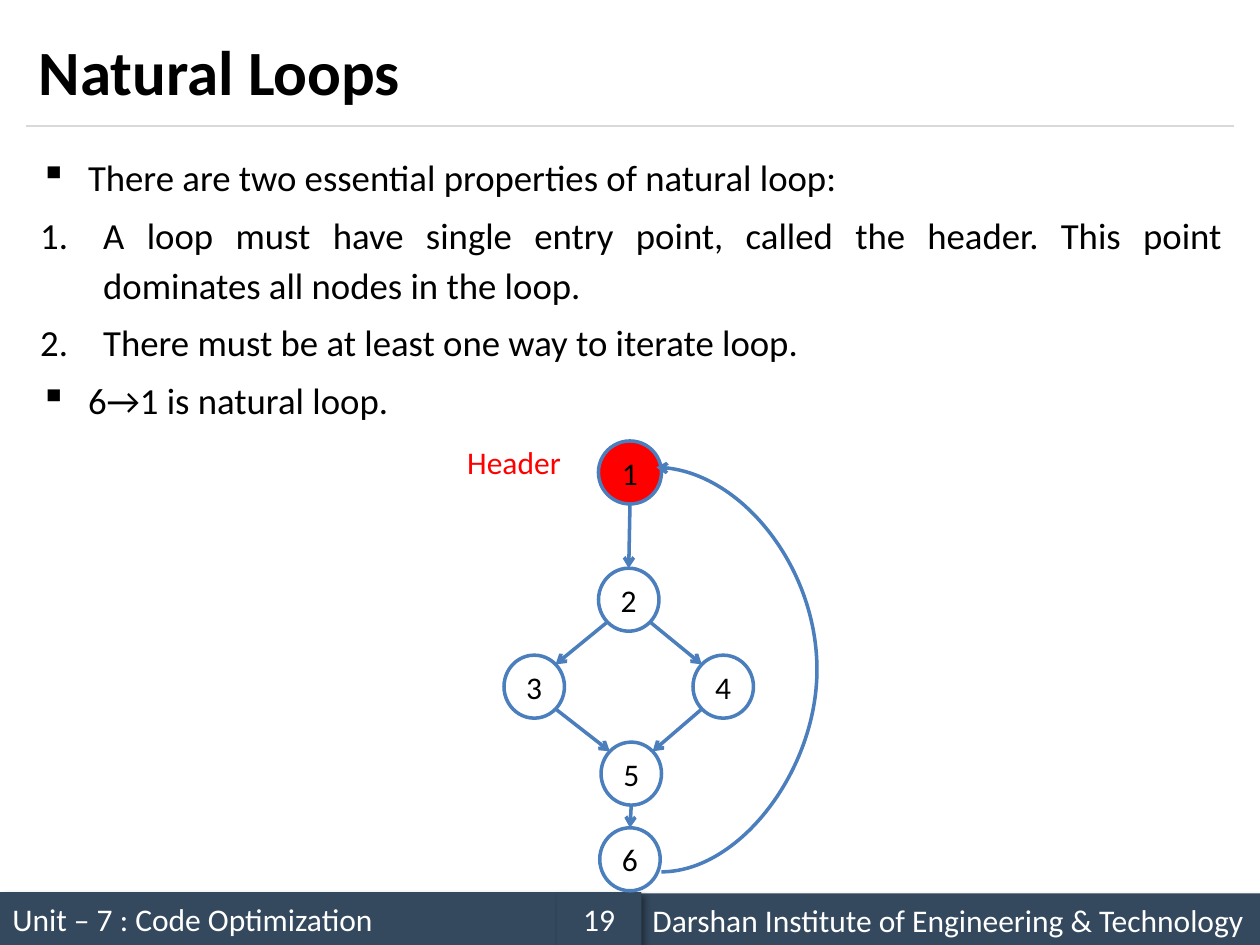
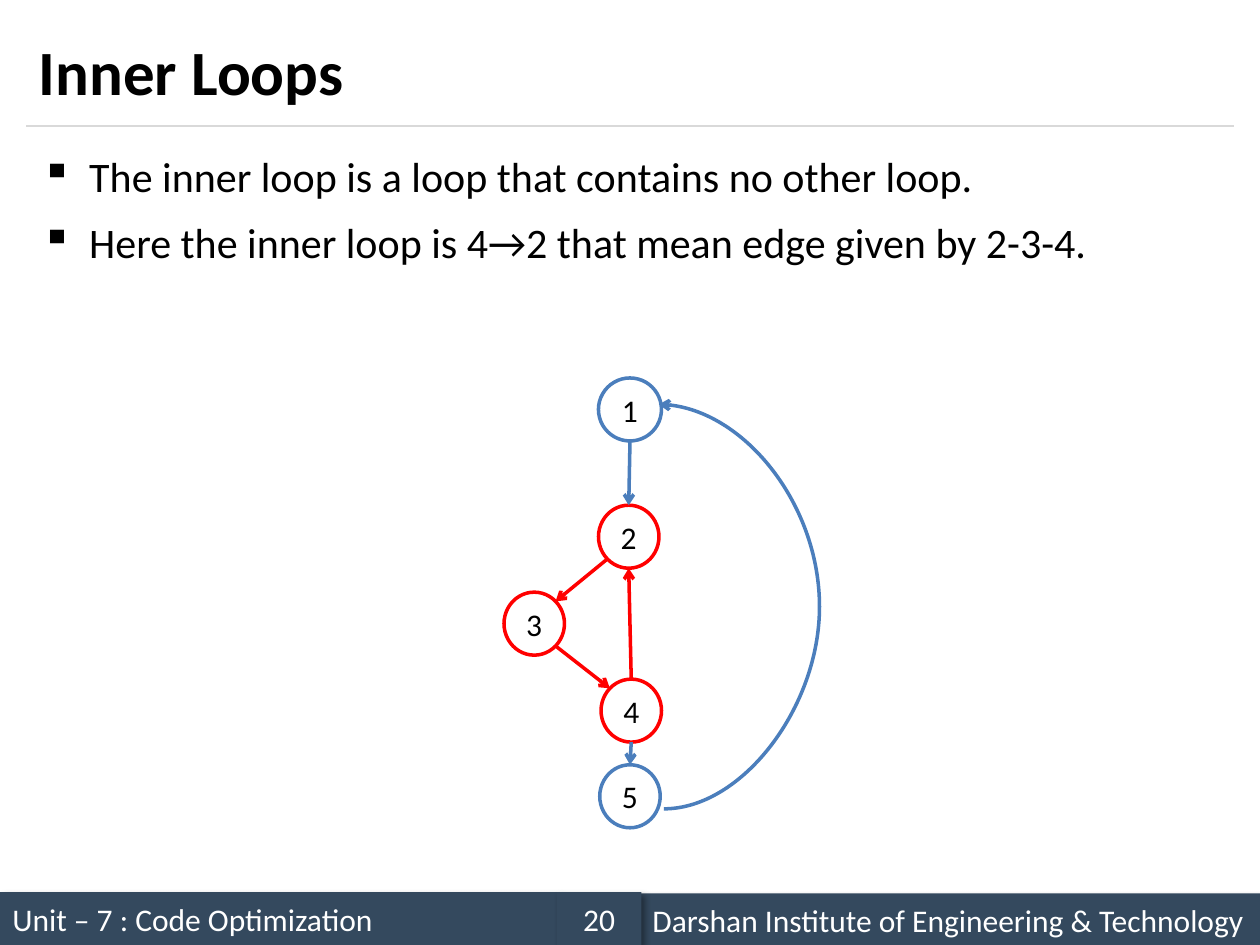
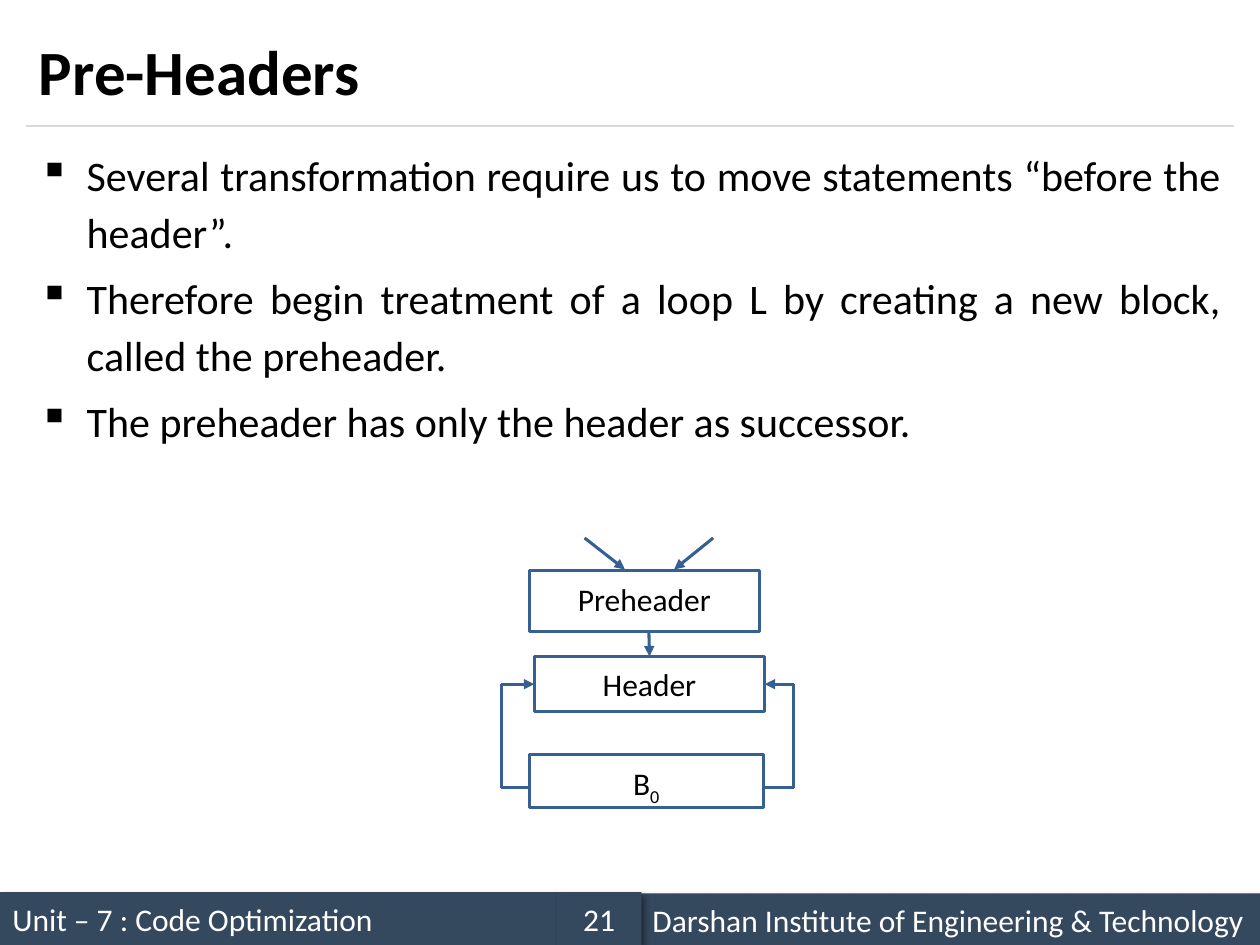
from math import cos, radians, sin

from lxml.etree import SubElement
from pptx import Presentation
from pptx.dml.color import RGBColor
from pptx.enum.shapes import MSO_CONNECTOR, MSO_SHAPE
from pptx.enum.text import MSO_ANCHOR, PP_ALIGN
from pptx.oxml.ns import qn
from pptx.util import Inches, Pt

COLORS = {
    "text": "000000", "light": "FFFFFF", "band": "34495E", "rule": "D9D9D9",
    "edge": "4B7EBC", "highlight": "FF0000", "block": "376092",
}
FONT = "Calibri"
FIRST_PAGE = 19

# Footer cells: left, top, width, text (None for the page number)
FOOTER = [
    (0, 7.08, 4.42, "Unit – 7 : Code Optimization"),
    (5.08, 7.09, 4.92, "Darshan Institute of Engineering & Technology"),
    (4.42, 7.08, 0.67, None),
]

# Flow graph: place -> centre x, centre y below the graph's top, width
PLACES = {
    "entry": (5, 0.25, 0.5),
    "branch": (4.99, 1.26, 0.48),
    "left": (4.24, 1.95, 0.48),
    "right": (5.74, 1.95, 0.48),
    "join": (5.01, 2.64, 0.48),
    "exit": (5, 3.32, 0.48),
}
NODE_HEIGHT = 0.5
# Edge ends as angles on a node, clockwise from its right side
ANGLES = {"se": 45, "s": 90, "sw": 135, "nw": 225, "n": 270, "ne": 315}
BACK_EDGE_BULGE = 1.23

# Bullet kinds: tag, attributes, indent
BULLETS = {
    "square": ("a:buChar", {"char": "▪"}, 0.38),
    "number": ("a:buAutoNum", {"type": "arabicPeriod"}, 0.5),
}

SLIDES = [
    {
        "title": "Natural Loops",
        "body": {"at": (0.22, 1.13), "size": 21, "align": PP_ALIGN.JUSTIFY},
        "points": [
            ("square", "There are two essential properties of natural loop:"),
            ("number", "A loop must have single entry point, called the header. "
                       "This point dominates all nodes in the loop."),
            ("number", "There must be at least one way to iterate loop."),
            ("square", "6→1 is natural loop."),
        ],
        "graph": {
            "top": 3.5,
            "nodes": [("entry", "1", "edge"), ("branch", "2", "edge"), ("left", "3", "edge"),
                      ("right", "4", "edge"), ("join", "5", "edge"), ("exit", "6", "edge")],
            "edges": [("entry", "s", "branch", "n", "edge"), ("branch", "sw", "left", "ne", "edge"),
                      ("branch", "se", "right", "nw", "edge"), ("left", "se", "join", "nw", "edge"),
                      ("right", "sw", "join", "ne", "edge"), ("join", "s", "exit", "n", "edge")],
            "back_edge": (5.25, 5.21),
            "header": "Header",
        },
    },
    {
        "title": "Inner Loops",
        "body": {"at": (0.23, 1.09), "size": 24, "align": PP_ALIGN.LEFT},
        "points": [
            ("square", "The inner loop is a loop that contains no other loop."),
            ("square", "Here the inner loop is 4→2 that mean edge given by 2-3-4."),
        ],
        "graph": {
            "top": 3,
            "nodes": [("entry", "1", "edge"), ("branch", "2", "highlight"),
                      ("left", "3", "highlight"), ("join", "4", "highlight"),
                      ("exit", "5", "edge")],
            "edges": [("entry", "s", "branch", "n", "edge"),
                      ("branch", "sw", "left", "ne", "highlight"),
                      ("left", "se", "join", "nw", "highlight"),
                      ("join", "n", "branch", "s", "highlight"),
                      ("join", "s", "exit", "n", "edge")],
            "back_edge": (5.27, 5.23),
        },
    },
    {
        "title": "Pre-Headers",
        "body": {"at": (0.21, 1.08), "size": 24, "align": PP_ALIGN.JUSTIFY},
        "points": [
            ("square", "Several transformation require us to move statements “before the header”."),
            ("square", "Therefore begin treatment of a loop L by creating a new block, "
                       "called the preheader."),
            ("square", "The preheader has only the header as successor."),
        ],
        # Each block: place, text, subscript
        "blocks": {
            "preheader": ((4.2, 4.53, 1.83, 0.48), "Preheader", ""),
            "header": ((4.24, 5.21, 1.83, 0.44), "Header", ""),
            "body": ((4.2, 5.99, 1.86, 0.42), "B", "0"),
        },
    },
]


def set_values(target, values):
    for name, value in values.items():
        setattr(target, name, value)


def color(name):
    return RGBColor.from_string(COLORS[name])


def add_run(paragraph, text, size=18, color_name="text", bold=False):
    run = paragraph.add_run()
    run.text = text
    set_values(run.font, {"name": FONT, "size": Pt(size), "bold": bold})
    run.font.color.rgb = color(color_name)
    return run


def add_text(slide, box, anchor=MSO_ANCHOR.TOP):
    shape = slide.shapes.add_textbox(*map(Inches, box))
    set_values(shape.text_frame, {"word_wrap": True, "vertical_anchor": anchor})
    return shape.text_frame


def add_box(slide, kind, box, fill=None, line=None, width=0):
    shape = slide.shapes.add_shape(kind, *map(Inches, box))
    shape.shadow.inherit = False
    if fill:
        shape.fill.solid()
        shape.fill.fore_color.rgb = color(fill)
    else:
        shape.fill.background()
    if line:
        shape.line.color.rgb = color(line)
        shape.line.width = Pt(width)
    else:
        shape.line.fill.background()
    return shape


def add_line(slide, start, end, line, width, arrow=None, kind=MSO_CONNECTOR.STRAIGHT):
    connector = slide.shapes.add_connector(kind, *map(Inches, (*start, *end)))
    connector.line.color.rgb = color(line)
    connector.line.width = Pt(width)
    properties = connector._element.spPr
    if arrow:
        SubElement(properties.find(qn("a:ln")), qn("a:tailEnd"), type=arrow)
    SubElement(properties, qn("a:effectLst"))
    return connector


def add_shadow(shape):
    effects = shape._element.spPr.find(qn("a:effectLst"))
    shadow = SubElement(effects, qn("a:outerShdw"), blurRad=str(Pt(4)), dist=str(Pt(3)),
                        dir="2700000", algn="tl", rotWithShape="0")
    black = SubElement(shadow, qn("a:srgbClr"), val=COLORS["text"])
    SubElement(black, qn("a:alpha"), val="40000")


def add_frame(slide, title, page):
    """Footer cells, title and the rule below it."""
    for index, (left, top, width, text) in enumerate(FOOTER):
        cell = add_box(slide, MSO_SHAPE.RECTANGLE, (left, top, width, 0.42), "band")
        add_shadow(cell)
        paragraph = cell.text_frame.paragraphs[0]
        paragraph.alignment = PP_ALIGN.LEFT if text else PP_ALIGN.CENTER
        add_run(paragraph, text or str(page), color_name="light")
        if index == 0:
            add_line(slide, (0.21, 1), (9.79, 1), "rule", 0.75)
    frame = add_text(slide, (0.21, 0.12, 9.58, 0.88), MSO_ANCHOR.MIDDLE)
    add_run(frame.paragraphs[0], title, 36, bold=True)


def add_points(slide, points, body):
    frame = add_text(slide, (*body["at"], 9.58, 5.83))
    for index, (bullet, text) in enumerate(points):
        paragraph = frame.add_paragraph() if index else frame.paragraphs[0]
        set_values(paragraph, {"alignment": body["align"], "line_spacing": 1.14,
                               "space_before": Pt(0.2 * body["size"] if index else 0)})
        tag, attributes, indent = BULLETS[bullet]
        properties = paragraph._element.get_or_add_pPr()
        properties.set("marL", str(Inches(indent)))
        properties.set("indent", str(-Inches(indent)))
        SubElement(properties, qn(tag), attributes)
        add_run(paragraph, text, body["size"])


def add_graph(slide, top, nodes, edges, back_edge, header=None):
    def site(place, direction):
        x, y, width = PLACES[place]
        angle = radians(ANGLES[direction])
        return x + width / 2 * cos(angle), top + y + NODE_HEIGHT / 2 * sin(angle)

    for place, label, line in nodes:
        x, y, width = PLACES[place]
        fill = "highlight" if header and place == "entry" else None
        box = (x - width / 2, top + y - NODE_HEIGHT / 2, width, NODE_HEIGHT)
        node = add_box(slide, MSO_SHAPE.OVAL, box, fill, line, 2)
        add_run(node.text_frame.paragraphs[0], label)
    for source, leave, target, arrive, line in edges:
        add_line(slide, site(source, leave), site(target, arrive), line, 2, "arrow")

    # Back edge bulges to the right of both its ends
    start, end = back_edge
    curve = add_line(slide, (start, top + 3.42), (end, top + 0.21), "edge", 2, "arrow",
                     MSO_CONNECTOR.CURVE)
    adjust = round(-BACK_EDGE_BULGE / (start - end) * 100000)
    geometry = curve._element.spPr.find(qn("a:prstGeom"))
    SubElement(geometry.find(qn("a:avLst")), qn("a:gd"), name="adj1", fmla=f"val {adjust}")

    if header:
        paragraph = add_text(slide, (3.58, top, 1, 0.33), MSO_ANCHOR.MIDDLE).paragraphs[0]
        paragraph.alignment = PP_ALIGN.CENTER
        add_run(paragraph, header, color_name="highlight")


def add_blocks(slide, blocks):
    shapes = {}
    for name, (box, text, subscript) in blocks.items():
        block = add_box(slide, MSO_SHAPE.RECTANGLE, box, "light", "block", 1.75)
        block.text_frame.vertical_anchor = MSO_ANCHOR.TOP
        paragraph = block.text_frame.paragraphs[0]
        set_values(paragraph, {"alignment": PP_ALIGN.CENTER, "line_spacing": 1.07,
                               "space_after": Pt(8)})
        add_run(paragraph, text)
        if subscript:
            add_run(paragraph, subscript).font._element.set("baseline", "-25000")
        shapes[name] = block

    def link(start, end, arrow=None):
        return add_line(slide, start, end, "block", 1.75, arrow)

    # Entry arrows and the step from preheader to header
    link((4.64, 4.27), (4.96, 4.52), "triangle")
    link((5.66, 4.27), (5.35, 4.52), "triangle")
    link((5.15, 5.02), (5.15, 5.21), "triangle").end_connect(shapes["header"], 0)

    # Loops from the body back to both sides of the header
    header_middle, body_level = 5.43, 6.25
    for outer, body_side, header_side, site in ((3.98, 4.2, 4.24, 1), (6.3, 6.06, 6.07, 3)):
        link((body_side, body_level), (outer, body_level))
        link((outer, body_level), (outer, header_middle))
        arrow = link((outer, header_middle), (header_side, header_middle), "triangle")
        arrow.end_connect(shapes["header"], site)


def main():
    presentation = Presentation()
    set_values(presentation, {"slide_width": Inches(10), "slide_height": Inches(7.5)})
    for page, content in enumerate(SLIDES, FIRST_PAGE):
        slide = presentation.slides.add_slide(presentation.slide_layouts[6])
        add_frame(slide, content["title"], page)
        add_points(slide, content["points"], content["body"])
        if "graph" in content:
            add_graph(slide, **content["graph"])
        else:
            add_blocks(slide, content["blocks"])
    presentation.save("out.pptx")


if __name__ == "__main__":
    main()
